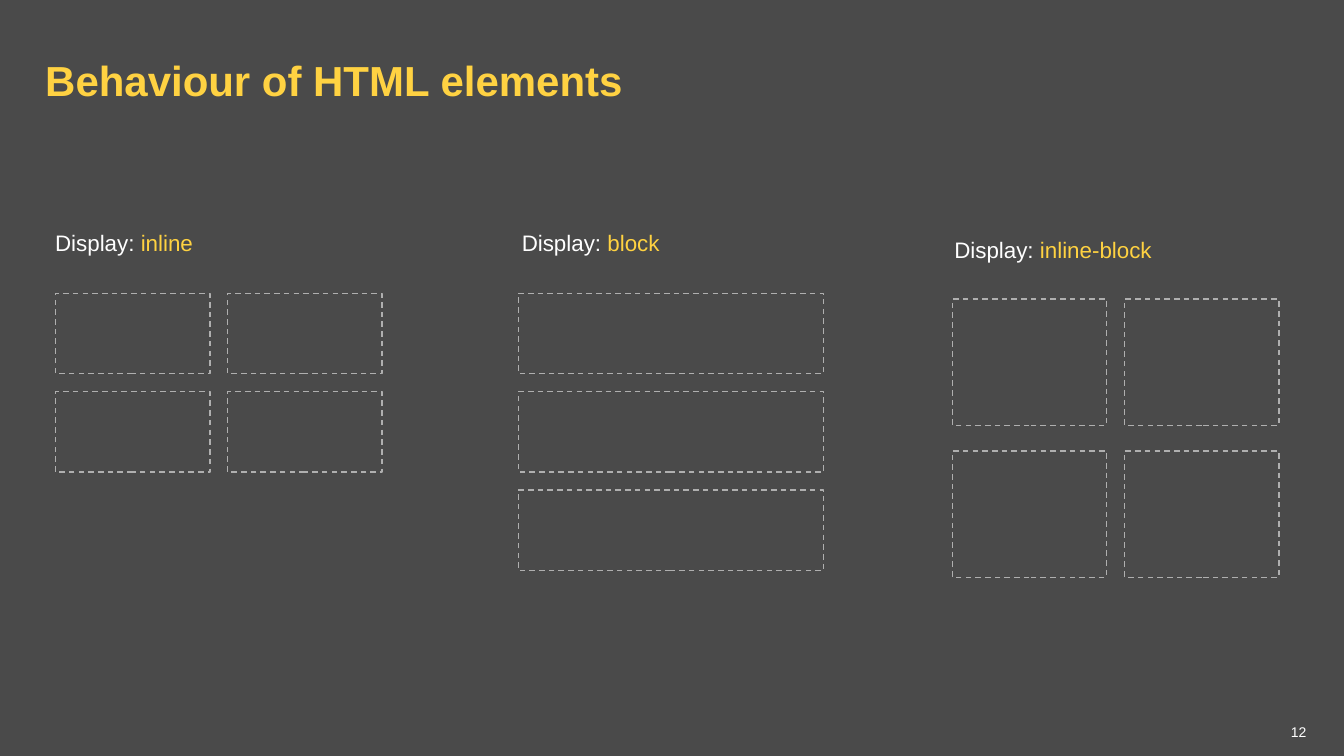
from pptx import Presentation
from pptx.dml.color import RGBColor
from pptx.enum.dml import MSO_LINE
from pptx.enum.shapes import MSO_SHAPE
from pptx.enum.text import MSO_ANCHOR, PP_ALIGN
from pptx.util import Cm, Pt

RECTANGLE = MSO_SHAPE.RECTANGLE
DASH = MSO_LINE.DASH
MIDDLE = MSO_ANCHOR.MIDDLE
CENTER = PP_ALIGN.CENTER


def color(value):
    return RGBColor.from_string(value)


def add_text(left, top, width, height, runs, size):
    frame = slide.shapes.add_textbox(Cm(left), Cm(top), Cm(width), Cm(height)).text_frame
    frame.word_wrap = True
    paragraph = frame.paragraphs[0]
    paragraph.font.name = "Arial"
    paragraph.font.size = Pt(size)
    for text, run_color in runs:
        run = paragraph.add_run()
        run.text = text
        run.font.color.rgb = color(run_color)
    return frame


presentation = Presentation()
presentation.slide_width = Cm(33.87)
presentation.slide_height = Cm(19.05)
slide = presentation.slides.add_slide(presentation.slide_layouts[6])
slide.background.fill.solid()
slide.background.fill.fore_color.rgb = color("4A4A4A")

column_gap = 0.45
displays = [
    ("inline", 1.14, 5.66, 1.4, 7.39, 2, 2, 3.89, 2.03, 0.45),
    ("block", 12.9, 5.66, 13.06, 7.39, 1, 3, 7.7, 2.03, 0.45),
    ("inline-block", 23.8, 5.82, 24, 7.54, 2, 2, 3.89, 3.18, 0.65),
]
for (display, label_left, label_top, left, top,
     columns, rows, width, height, row_gap) in displays:
    for row in range(rows):
        for column in range(columns):
            element = slide.shapes.add_shape(
                RECTANGLE,
                Cm(left + column * (width + column_gap)),
                Cm(top + row * (height + row_gap)),
                Cm(width), Cm(height))
            element.shadow.inherit = False
            element.fill.background()
            element.line.color.rgb = color("AFAFAF")
            element.line.width = Pt(1)
            element.line.dash_style = DASH
    add_text(label_left, label_top, 7.62, 0.94,
             [("Display: ", "FFFFFF"), (display, "FFD241")], 16)

title = add_text(1.14, 0.94, 31.12, 1.7, [("Behaviour of HTML elements", "FFD242")], 30)
title.margin_left = 0
title.paragraphs[0].font.bold = True
title.paragraphs[0].line_spacing = Pt(45)

page_number = add_text(32.23, 18.11, 0.99, 0.66, [("12", "FFFFFF")], 10)
page_number.vertical_anchor = MIDDLE
page_number.paragraphs[0].alignment = CENTER

presentation.save("out.pptx")
